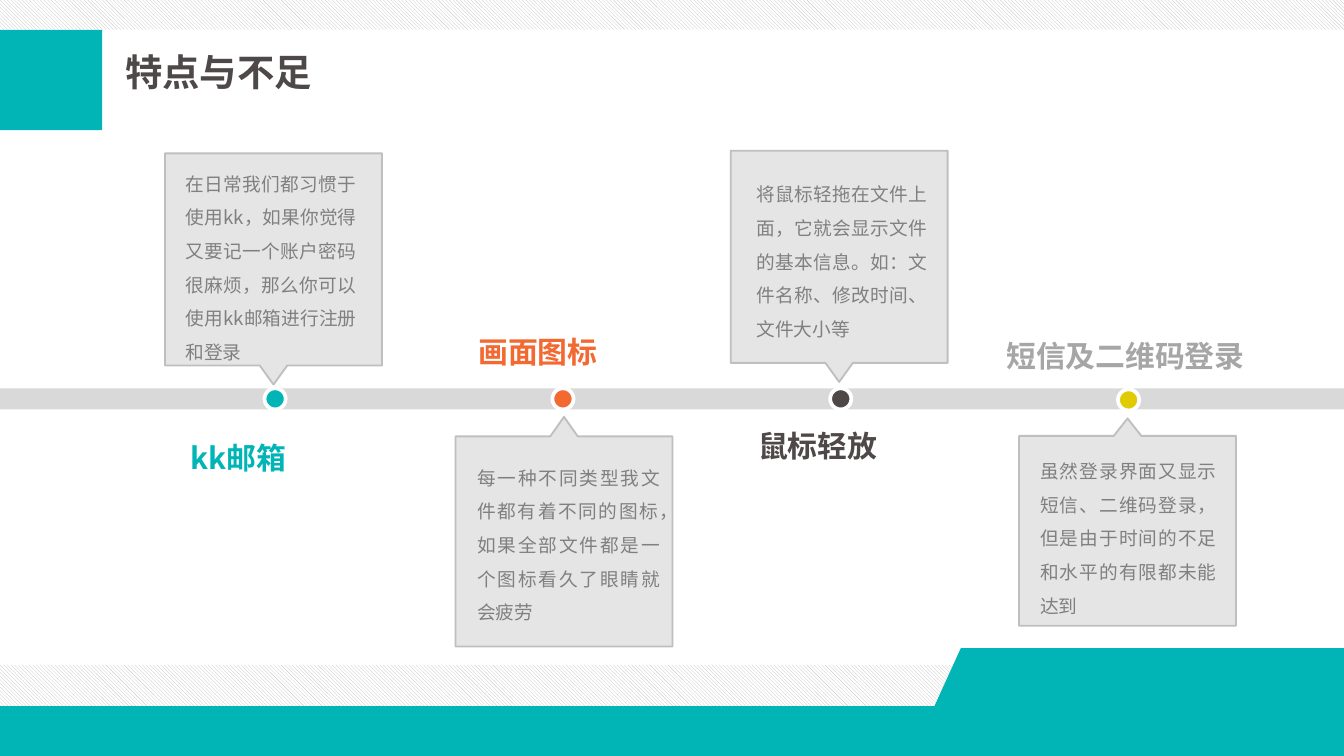
"""Build the features-and-shortcomings timeline slide."""
from lxml import etree
from pptx import Presentation
from pptx import util as u
from pptx.dml import color
from pptx.enum import dml, shapes, text
from pptx.oxml import ns

COLORS = {
    "teal": "01B5B6", "orange": "F26932", "dark": "4E4848", "yellow": "E0CB02",
    "silver": "A6A6A6", "body": "808080", "edge": "BFBFBF", "band": "D9D9D9",
    "white": "FFFFFF",
}
RGB = {name: color.RGBColor.from_string(value) for name, value in COLORS.items()}
FONT = "Noto Sans CJK SC"
HEADING = {"size": u.Pt(16), "bold": True}
BODY = {"size": u.Pt(10), "bold": False}
TITLE = {"size": u.Pt(20), "bold": True}


def write(holder, words, tint, font_format, frame_format, paragraph_format):
    frame = holder.text_frame
    paragraph = frame.paragraphs[0]
    run = paragraph.add_run()
    run.text = words
    for target, values in (
        (frame, {"word_wrap": True, "vertical_anchor": text.MSO_ANCHOR.TOP,
                 "auto_size": text.MSO_AUTO_SIZE.SHAPE_TO_FIT_TEXT, **frame_format}),
        (paragraph, paragraph_format),
        (run.font, {"name": FONT, **font_format}),
    ):
        for attribute, value in values.items():
            setattr(target, attribute, value)
    run.font.color.rgb = RGB[tint]
    etree.SubElement(run.font._element, ns.qn("a:ea"), typeface=FONT)


def paint(figure, tint, outline=None, width=0):
    figure.shadow.inherit = False
    figure.fill.solid()
    figure.fill.fore_color.rgb = RGB[tint]
    if outline:
        figure.line.color.rgb = RGB[outline]
        figure.line.width = u.Pt(width)
    else:
        figure.line.fill.background()


deck = Presentation()
deck.slide_width, deck.slide_height = u.Cm(25.4), u.Cm(14.29)
slide = deck.slides.add_slide(deck.slide_layouts[5])
canvas = slide.shapes

title = canvas.title
for side, length in {"left": 2.11, "top": 0.81, "width": 4.98, "height": 1.12}.items():
    setattr(title, side, u.Cm(length))
write(title, "特点与不足", "dark", TITLE, {}, {"alignment": text.PP_ALIGN.LEFT})

for tint, box in (("band", (0, 7.34, 25.4, 0.4)), ("teal", (0, 0.56, 1.93, 1.9))):
    paint(canvas.add_shape(shapes.MSO_SHAPE.RECTANGLE, *map(u.Cm, box)), tint)

for top, height in ((0, 0.56), (12.57, 1.3)):
    hatching = canvas.add_shape(
        shapes.MSO_SHAPE.RECTANGLE, 0, u.Cm(top), deck.slide_width, u.Cm(height))
    hatching.shadow.inherit = False
    hatching.line.fill.background()
    hatching.fill.patterned()
    hatching.fill.pattern = dml.MSO_PATTERN.LIGHT_DOWNWARD_DIAGONAL
    hatching.fill.fore_color.rgb = RGB["edge"]
    hatching.fill.back_color.rgb = RGB["white"]

footer_points = [(25.4, 14.29), (0, 14.29), (0, 13.35), (17.66, 13.35),
                 (18.16, 12.25), (25.4, 12.25)]
outlines = [(footer_points, "teal")]

milestones = [
    {"callout": (3.12, 2.9, 6.91, 7.27), "note_box": (3.51, 3.05, 3.23, 3.76),
     "heading_box": (3.61, 7.85, 3.1, 1.04), "dot": (5, 7.34),
     "dot_tint": "teal", "heading_tint": "teal", "heading": "kk邮箱",
     "note": "在日常我们都习惯于使用kk，如果你觉得又要记一个账户密码很麻烦，"
             "那么你可以使用kk邮箱进行注册和登录"},
    {"callout": (8.61, 12.22, 8.25, 7.88), "note_box": (9.02, 8.61, 3.45, 3.23),
     "heading_box": (9.04, 5.84, 3.15, 1.04), "dot": (10.44, 7.34),
     "dot_tint": "orange", "heading_tint": "orange", "heading": "画面图标",
     "note": "每一种不同类型我文件都有着不同的图标，"
             "如果全部文件都是一个图标看久了眼睛就会疲劳"},
    {"callout": (13.81, 2.85, 6.86, 7.22), "note_box": (14.3, 3.25, 3.23, 3.12),
     "heading_box": (14.33, 7.62, 3.28, 1.04), "dot": (15.69, 7.34),
     "dot_tint": "dark", "heading_tint": "dark", "heading": "鼠标轻放",
     "note": "将鼠标轻拖在文件上面，它就会显示文件的基本信息。"
             "如：文件名称、修改时间、文件大小等"},
    {"callout": (19.26, 11.83, 8.24, 7.91), "note_box": (19.66, 8.48, 3.33, 3.12),
     "heading_box": (19.02, 5.92, 4.67, 1.04), "dot": (21.13, 7.36),
     "dot_tint": "yellow", "heading_tint": "silver", "heading": "短信及二维码登录",
     "note": "虽然登录界面又显示短信、二维码登录，"
             "但是由于时间的不足和水平的有限都未能达到"},
]

for milestone in milestones:
    left, far, near, tip = milestone["callout"]
    right, middle = left + 4.1, left + 2.05
    outlines.append(([(left, far), (right, far), (right, near), (middle + 0.26, near),
                      (middle, tip), (middle - 0.26, near), (left, near)], "edge"))

for points, tint in outlines:
    start, *rest = [(u.Cm(x), u.Cm(y)) for x, y in points]
    builder = canvas.build_freeform(*start)
    builder.add_line_segments(rest, close=True)
    outline = builder.convert_to_shape()
    if tint == "edge":
        paint(outline, tint, "edge", 1)
        fill_color = outline._element.spPr.find(
            f"{ns.qn('a:solidFill')}/{ns.qn('a:srgbClr')}")
        etree.SubElement(fill_color, ns.qn("a:alpha"), val="40000")
    else:
        paint(outline, tint)

justified = {"alignment": text.PP_ALIGN.JUSTIFY, "line_spacing": 1.5}
for milestone in milestones:
    for part, tint, font_format, inset in (
        ("note", "body", BODY, 0),
        ("heading", milestone["heading_tint"], HEADING, 0.13),
    ):
        caption = canvas.add_textbox(*map(u.Cm, milestone[f"{part}_box"]))
        margins = {"margin_left": 0, "margin_right": 0, "margin_bottom": 0,
                   "margin_top": u.Cm(inset)}
        write(caption, milestone[part], tint, font_format, margins, justified)
    dot = canvas.add_shape(
        shapes.MSO_SHAPE.OVAL, *map(u.Cm, (*milestone["dot"], 0.4, 0.4)))
    paint(dot, milestone["dot_tint"], "white", 2)

deck.save("out.pptx")
